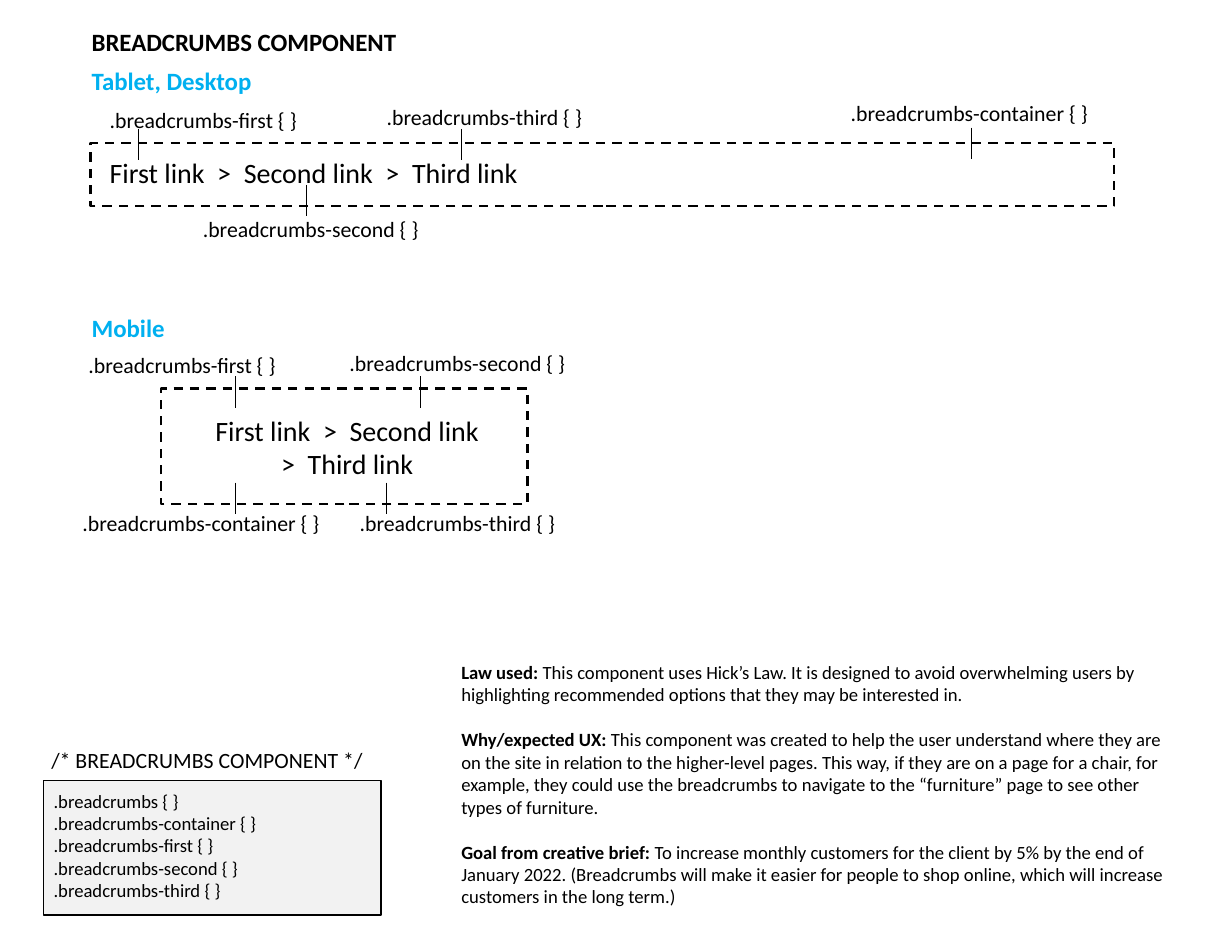
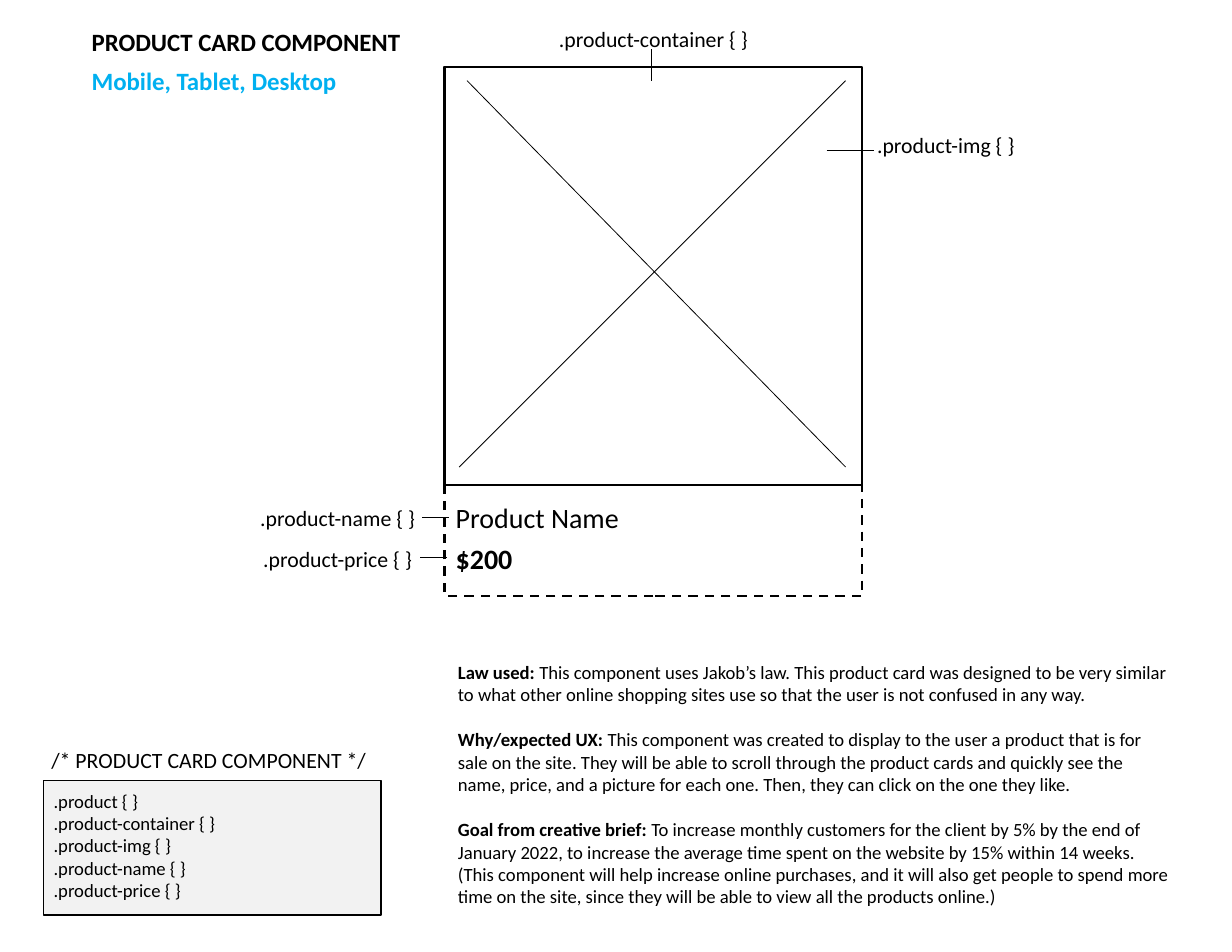
from dataclasses import dataclass

from lxml import etree
from pptx import Presentation, util as u
from pptx.dml.color import RGBColor
from pptx.enum import dml, shapes, text
from pptx.oxml import ns


@dataclass(frozen=True)
class Theme:
    font: str = "Calibri"
    ink: RGBColor = RGBColor(0, 0, 0)
    paper: RGBColor = RGBColor(255, 255, 255)
    accent: RGBColor = RGBColor(0x00, 0xB0, 0xF0)
    panel: RGBColor = RGBColor(0xF2, 0xF2, 0xF2)
    heading: int = 16
    sample: int = 18
    label: int = 14
    body: int = 12
    paragraph_gap: float = 14.6
    frame: float = 1.5
    border: float = 1
    hairline: float = 0.5


THEME = Theme()

# The page is a grid of 11 columns by 8.5 rows, each one inch
COLUMNS, ROWS = 11, 8.5
CELL = u.Inches(1)
LABEL_WIDTH = 2.61
LEADER = 0.28
NOTE_HEADS = ("Law used: ", "Why/expected UX: ", "Goal from creative brief: ")


def grid(*cells):
    return [round(cell * CELL) for cell in cells]


# Basic elements

def add_text(page, area, lines, size, bold=False, color=THEME.ink,
             align=text.PP_ALIGN.LEFT, gap=0):
    """Each line is a list of (words, bold) spans, or a plain string."""
    box = page.shapes.add_textbox(*grid(*area))
    frame = box.text_frame
    frame.word_wrap = True
    frame.auto_size = text.MSO_AUTO_SIZE.SHAPE_TO_FIT_TEXT
    for index, line in enumerate(lines):
        para = frame.add_paragraph() if index else frame.paragraphs[0]
        para.alignment = align
        para.font.name = THEME.font
        para.font.size = u.Pt(size)
        para.font.color.rgb = color
        if index:
            para.space_before = u.Pt(gap)
        if isinstance(line, str):
            para.font.bold = bold
            para.add_run().text = line
            continue
        for words, strong in line:
            span = para.add_run()
            span.text = words
            span.font.bold = strong


def add_box(page, area, fill=THEME.paper, weight=THEME.frame, dashed=False):
    box = page.shapes.add_shape(shapes.MSO_SHAPE.RECTANGLE, *grid(*area))
    box.shadow.inherit = False
    box.fill.solid()
    box.fill.fore_color.rgb = fill
    box.line.color.rgb = THEME.ink
    box.line.width = u.Pt(weight)
    if dashed:
        box.line.dash_style = dml.MSO_LINE.DASH


def add_line(page, start, end):
    line = page.shapes.add_connector(
        shapes.MSO_CONNECTOR.STRAIGHT, *grid(*start, *end))
    line.line.color.rgb = THEME.ink
    line.line.width = u.Pt(THEME.hairline)
    etree.SubElement(line._element.spPr, ns.qn("a:effectLst"))


# Parts of a component sheet

def add_heading(page, top, words, color=THEME.accent):
    add_text(page, (0.72, top, 4.8, 0.37), [words], THEME.heading, True, color)


def add_label(page, selector, left, top):
    add_text(page, (left, top, LABEL_WIDTH, 0.34), [f".{selector} {{ }}"],
             THEME.label, align=text.PP_ALIGN.CENTER)


def add_leader(page, x, top):
    add_line(page, (x, top), (x, top + LEADER))


def add_sample(page, area, lines, bold=False, align=text.PP_ALIGN.LEFT):
    add_text(page, area, lines, THEME.sample, bold, align=align)


def add_code_panel(page, title, selectors):
    add_box(page, (0.39, 6.97, 3.01, 1.2), THEME.panel, THEME.border)
    add_text(page, (0.36, 6.62, 3.04, 0.34), [f"/* {title} */"], THEME.label)
    add_text(page, (0.38, 7, 3.03, 1.11),
             [f".{selector} {{ }}" for selector in selectors], THEME.body)


def add_notes_text(page, left, notes):
    lines = [[(head, True), (note, False)]
             for head, note in zip(NOTE_HEADS, notes)]
    add_text(page, (left, 5.85, 6.59, 2.32), lines, THEME.body,
             gap=THEME.paragraph_gap)


def start_sheet(deck, title, devices, selectors, notes_left, notes):
    page = deck.slides.add_slide(deck.slide_layouts[6])
    add_heading(page, 0.19, title, THEME.ink)
    add_heading(page, 0.54, devices)
    add_code_panel(page, title, selectors)
    add_notes_text(page, notes_left, notes)
    return page


# Slides

def breadcrumbs_sheet(deck):
    names = [f"breadcrumbs-{part}"
             for part in ("container", "first", "second", "third")]
    container, first, second, third = names
    page = start_sheet(
        deck, "BREADCRUMBS COMPONENT", "Tablet, Desktop",
        ["breadcrumbs", *names], 4.02,
        ("This component uses Hick’s Law. It is designed to avoid "
         "overwhelming users by highlighting recommended options that they "
         "may be interested in.",
         "This component was created to help the user understand where they "
         "are on the site in relation to the higher-level pages. This way, if "
         "they are on a page for a chair, for example, they could use the "
         "breadcrumbs to navigate to the “furniture” page to see other types "
         "of furniture.",
         "To increase monthly customers for the client by 5% by the end of "
         "January 2022. (Breadcrumbs will make it easier for people to shop "
         "online, which will increase customers in the long term.)"))

    # Wide trail on one line, then the narrow trail on two
    add_box(page, (0.81, 1.28, 9.14, 0.56), dashed=True)
    add_sample(page, (0.88, 1.34, 5.57, 0.4),
               ["First link  >  Second link  >  Third link"])
    add_heading(page, 2.74, "Mobile")
    add_box(page, (1.44, 3.47, 3.27, 1.03), dashed=True)
    add_sample(page, (1.5, 3.64, 3.2, 0.71),
               ["First link  >  Second link", ">  Third link"],
               align=text.PP_ALIGN.CENTER)

    # Selector, label left and top, leader x and top
    callouts = (
        (container, 7.35, 0.84, 8.67, 1.14),
        (first, 0.51, 0.9, 1.24, 1.15),
        (third, 3.02, 0.88, 4.12, 1.15),
        (second, 1.47, 1.88, 2.74, 1.65),
        (container, 0.49, 4.5, 2.1, 4.31),
        (first, 0.32, 3.09, 2.1, 3.36),
        (second, 2.78, 3.07, 3.75, 3.36),
        (third, 2.78, 4.5, 3.45, 4.31),
    )
    for selector, left, top, x, leader_top in callouts:
        add_label(page, selector, left, top)
        add_leader(page, x, leader_top)


def product_card_sheet(deck):
    names = [f"product-{part}"
             for part in ("container", "img", "name", "price")]
    container, image, name, price = names
    page = start_sheet(
        deck, "PRODUCT CARD COMPONENT", "Mobile, Tablet, Desktop",
        ["product", *names], 3.99,
        ("This component uses Jakob’s law. This product card was designed to "
         "be very similar to what other online shopping sites use so that the "
         "user is not confused in any way.",
         "This component was created to display to the user a product that is "
         "for sale on the site. They will be able to scroll through the "
         "product cards and quickly see the name, price, and a picture for "
         "each one. Then, they can click on the one they like.",
         "To increase monthly customers for the client by 5% by the end of "
         "January 2022, to increase the average time spent on the website by "
         "15% within 14 weeks. (This component will help increase online "
         "purchases, and it will also get people to spend more time on the "
         "site, since they will be able to view all the products online.)"))

    # Card with a crossed image area above the name and price
    left, top, side = 3.97, 0.6, 3.73
    add_box(page, (left, top, side, 4.72), dashed=True)
    add_box(page, (left, top, side, side))
    add_line(page, (4.17, 0.72), (7.55, 4.17))
    add_line(page, (7.55, 0.72), (4.1, 4.17))
    add_sample(page, (left, 4.42, 1.95, 0.4), ["Product Name"])
    add_sample(page, (left, 4.79, 1.95, 0.4), ["$200"], bold=True)

    # Callouts around the card
    add_label(page, container, 4.53, 0.18)
    add_leader(page, 5.82, 0.44)
    side_callouts = (
        (image, 7.14, 1.13, 7.38, 7.8, 1.34),
        (name, 1.71, 4.46, 3.77, 4.01, 4.62),
        (price, 1.71, 4.82, 3.75, 3.99, 4.98),
    )
    for selector, label_left, label_top, start, end, y in side_callouts:
        add_label(page, selector, label_left, label_top)
        add_line(page, (start, y), (end, y))


def main():
    deck = Presentation()
    deck.slide_width, deck.slide_height = grid(COLUMNS, ROWS)
    breadcrumbs_sheet(deck)
    product_card_sheet(deck)
    deck.save("out.pptx")


if __name__ == "__main__":
    main()
